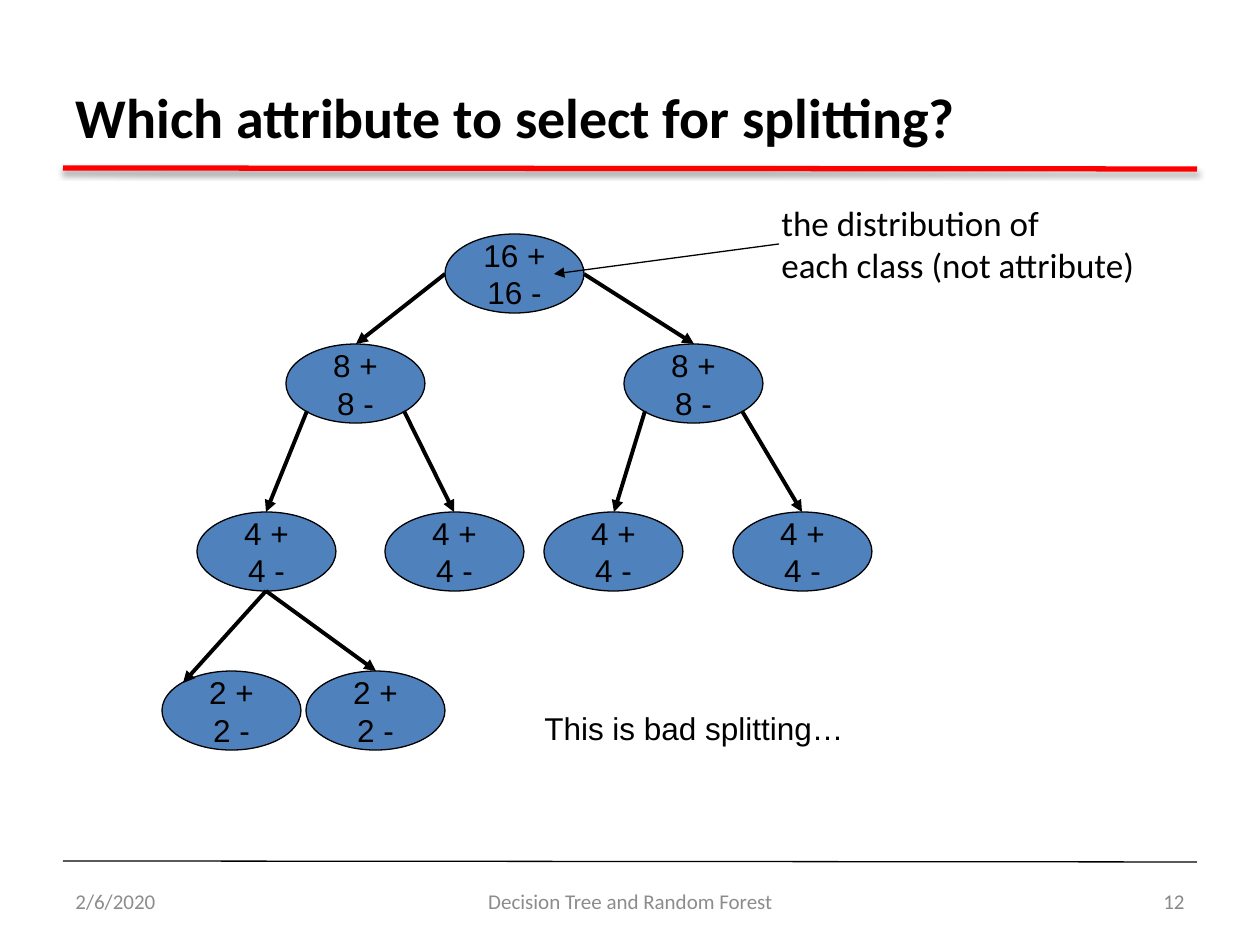
"""Build a slide showing a decision tree whose attribute splits are uninformative."""
from dataclasses import dataclass

from lxml import etree
from pptx import Presentation
from pptx.dml.color import RGBColor
from pptx.enum.shapes import MSO_CONNECTOR, MSO_SHAPE
from pptx.enum.text import MSO_ANCHOR, PP_ALIGN
from pptx.oxml.ns import qn
from pptx.util import Emu, Pt

STRAIGHT, OVAL = MSO_CONNECTOR.STRAIGHT, MSO_SHAPE.OVAL
TOP, MIDDLE = MSO_ANCHOR.TOP, MSO_ANCHOR.MIDDLE
LEFT, CENTER, RIGHT = PP_ALIGN.LEFT, PP_ALIGN.CENTER, PP_ALIGN.RIGHT
EMU_PER_PIXEL = 914400 / 126
NODE_WIDTH, NODE_HEIGHT = 139, 79
BLACK, RED, BLUE, GRAY = "000000", "FF0000", "4F81BD", "8C8C8C"
NEAR, FAR = 0.15, 0.85
SITES = {
    "top": (0.5, 0), "bottom": (0.5, 1), "left": (0, 0.5), "right": (1, 0.5),
    "top left": (NEAR, NEAR), "bottom left": (NEAR, FAR), "bottom right": (FAR, FAR),
}


@dataclass(frozen=True)
class Node:
    left: int
    top: int
    count: int

    def site(self, name: str) -> tuple[int, int]:
        across, down = SITES[name]
        return round(self.left + across * NODE_WIDTH), round(self.top + down * NODE_HEIGHT)


@dataclass(frozen=True)
class Edge:
    parent: str
    start: str
    child: str
    end: str = "top"


@dataclass(frozen=True)
class Label:
    box: tuple[int, int, int, int]
    lines: tuple[str, ...]
    size: int
    font: str = "Calibri"
    color: str = BLACK
    align: int = LEFT
    anchor: int = TOP
    wrap: bool = False


NODES = {
    "root": Node(445, 234, 16),
    "left": Node(286, 344, 8),
    "right": Node(624, 344, 8),
    "left left": Node(197, 512, 4),
    "left right": Node(385, 512, 4),
    "right left": Node(544, 512, 4),
    "right right": Node(733, 512, 4),
    "leaf one": Node(162, 671, 2),
    "leaf two": Node(306, 671, 2),
}
EDGES = [
    Edge("root", "left", "left"),
    Edge("root", "right", "right"),
    Edge("left", "bottom left", "left left"),
    Edge("left", "bottom right", "left right"),
    Edge("right", "bottom left", "right left"),
    Edge("right", "bottom right", "right right"),
    Edge("left left", "bottom", "leaf one", "top left"),
    Edge("left left", "bottom", "leaf two"),
]
LABELS = [
    Label((532, 703, 325, 50), ("This is bad splitting…",), 18, "Arial"),
    Label((769, 195, 380, 139), ("the distribution of ", "each class (not attribute)"), 20),
    Label((63, 876, 294, 50), ("2/6/2020",), 12, color=GRAY, anchor=MIDDLE, wrap=True),
    Label((431, 876, 399, 50), ("Decision Tree and Random Forest",), 12, color=GRAY,
          align=CENTER, anchor=MIDDLE, wrap=True),
    Label((903, 876, 294, 50), ("12",), 12, color="898989",
          align=RIGHT, anchor=MIDDLE, wrap=True),
]


def px(value: float) -> Emu:
    """Convert pixels to EMU."""
    return Emu(round(value * EMU_PER_PIXEL))


def rgb(value: str) -> RGBColor:
    """Convert a hex string to a colour."""
    return RGBColor.from_string(value)


def write_lines(frame, lines, size: int, font: str, color: str = BLACK,
                align=LEFT, bold: bool = False) -> None:
    """Write one paragraph per line."""
    for index, line in enumerate(lines):
        paragraph = frame.add_paragraph() if index else frame.paragraphs[0]
        paragraph.alignment = align
        run = paragraph.add_run()
        run.text = line
        run.font.size, run.font.name, run.font.bold = Pt(size), font, bold
        run.font.color.rgb = rgb(color)


def add_line(slide, start, end, color: str, width: float,
             arrow: bool = False, shadow: bool = False) -> None:
    """Draw a straight line with an optional arrowhead or shadow."""
    connector = slide.shapes.add_connector(STRAIGHT, *map(px, (*start, *end)))
    connector.line.color.rgb = rgb(color)
    connector.line.width = Pt(width)
    if arrow:
        etree.SubElement(connector.line._get_or_add_ln(), qn("a:tailEnd"), type="triangle")
    effects = etree.SubElement(connector._element.spPr, qn("a:effectLst"))
    if shadow:
        outer = etree.SubElement(effects, qn("a:outerShdw"), blurRad=str(Pt(3.1)),
                                 dist=str(Pt(1.8)), dir="5400000", rotWithShape="0")
        shade = etree.SubElement(outer, qn("a:srgbClr"), val=BLACK)
        etree.SubElement(shade, qn("a:alpha"), val="35000")


def add_node(slide, node: Node) -> None:
    """Draw a tree node with its class counts."""
    shape = slide.shapes.add_shape(
        OVAL, *map(px, (node.left, node.top, NODE_WIDTH, NODE_HEIGHT)))
    shape.shadow.inherit = False
    shape.fill.solid()
    shape.fill.fore_color.rgb = rgb(BLUE)
    shape.line.color.rgb = rgb(BLACK)
    shape.line.width = Pt(0.75)
    frame = shape.text_frame
    frame.word_wrap = False
    frame.vertical_anchor = MIDDLE
    write_lines(frame, (f"{node.count} +", f"{node.count} -"), 18, "Arial", align=CENTER)


def add_label(slide, label: Label) -> None:
    """Place a text box."""
    frame = slide.shapes.add_textbox(*map(px, label.box)).text_frame
    frame.word_wrap = label.wrap
    frame.vertical_anchor = label.anchor
    write_lines(frame, label.lines, label.size, label.font, label.color, label.align)


def set_title(slide, text: str) -> None:
    """Move and format the title placeholder."""
    title = slide.shapes.title
    title.left, title.top, title.width, title.height = map(px, (63, 38, 1134, 157))
    title.text_frame.vertical_anchor = MIDDLE
    write_lines(title.text_frame, (text,), 32, "Calibri", bold=True)


def main() -> None:
    """Build and save the presentation."""
    presentation = Presentation()
    presentation.slide_width, presentation.slide_height = px(1260), px(945)
    slide = presentation.slides.add_slide(presentation.slide_layouts[5])
    add_line(slide, (63, 168), (1197, 169), RED, 3, shadow=True)
    add_line(slide, (63, 861), (1197, 862), BLACK, 0.75)
    set_title(slide, "Which attribute to select for splitting?")
    for node in NODES.values():
        add_node(slide, node)
    for edge in EDGES:
        add_line(slide, NODES[edge.parent].site(edge.start),
                 NODES[edge.child].site(edge.end), BLACK, 2.25, arrow=True)
    add_line(slide, (779, 244), (554, 274), BLACK, 0.75, arrow=True)
    for label in LABELS:
        add_label(slide, label)
    presentation.save("out.pptx")


main()
